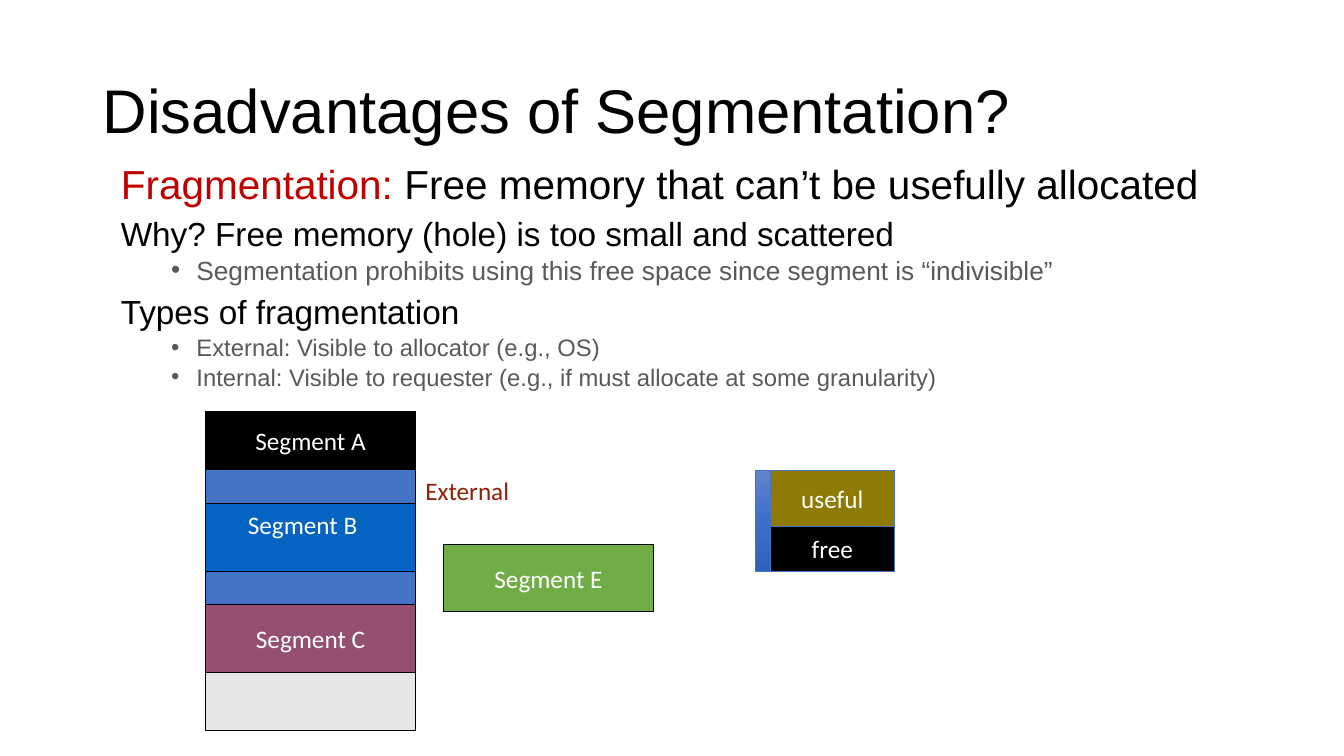
from lxml import etree
from pptx import Presentation
from pptx.dml.color import RGBColor
from pptx.enum.shapes import MSO_SHAPE
from pptx.enum.text import MSO_ANCHOR, MSO_AUTO_SIZE, PP_ALIGN
from pptx.oxml.ns import qn
from pptx.util import Inches, Pt

RECT = MSO_SHAPE.RECTANGLE
MIDDLE = MSO_ANCHOR.MIDDLE
GROW = MSO_AUTO_SIZE.SHAPE_TO_FIT_TEXT
CENTER = PP_ALIGN.CENTER

BLACK = RGBColor(0x00, 0x00, 0x00)
WHITE = RGBColor(0xFF, 0xFF, 0xFF)
GRAY = RGBColor(0x59, 0x59, 0x59)
RED = RGBColor(0xC0, 0x00, 0x00)
RUST = RGBColor(0x92, 0x1F, 0x07)
BLUE = RGBColor(0x44, 0x72, 0xC4)
AZURE = RGBColor(0x05, 0x63, 0xC1)
PLUM = RGBColor(0x95, 0x4F, 0x72)
SILVER = RGBColor(0xE7, 0xE6, 0xE6)
GREEN = RGBColor(0x70, 0xAD, 0x47)
OLIVE = RGBColor(0x8F, 0x7A, 0x05)

TITLE = "Disadvantages of Segmentation?"
# level, size, [(text, colour)]
BODY = [
    (0, 28.9, [("Fragmentation:", RED),
               (" Free memory that can’t be usefully allocated", BLACK)]),
    (0, 23.8, [("Why? Free memory (hole) is too small and scattered", BLACK)]),
    (1, 18.7, [("Segmentation prohibits using this free space since segment "
                "is “indivisible”", GRAY)]),
    (0, 23.8, [("Types of fragmentation", BLACK)]),
    (1, 17, [("External: Visible to allocator (e.g., OS)", GRAY)]),
    (1, 17, [("Internal: Visible to requester (e.g., if must allocate at some "
              "granularity)", GRAY)]),
]
# text, top, height, fill
MEMORY = [
    ("", 4.08, 3.17, BLUE),
    ("Segment A", 4.08, 0.58, BLACK),
    ("", 5, 0.67, AZURE),
    ("Segment C", 6, 0.67, PLUM),
    ("", 6.67, 0.58, SILVER),
]
MEM_X, MEM_W = 2.04, 2.08
LABELS = [
    ("Segment B", 2.36, 5, 1.35, WHITE),
    ("External", MEM_X + MEM_W, 4.67, 1.04, RUST),
]
BLOCK_X, BLOCK_Y, BLOCK_W, EDGE = 7.49, 4.67, 1.38, 0.15
PARTS = [("useful", 0.55, OLIVE), ("free", 0.45, BLACK)]
STOPS = [(0, "6183CB"), (50, "3E70CA"), (100, "3062BB")]

prs = Presentation()
prs.slide_width, prs.slide_height = Inches(13.33), Inches(7.5)
slide = prs.slides.add_slide(prs.slide_layouts[6])


def style(font, size, color, name="Calibri"):
    font.size, font.name = Pt(size), name
    font.color.rgb = color


def add_text(x, y, w, h, wrap=True):
    box = slide.shapes.add_textbox(Inches(x), Inches(y), Inches(w), Inches(h))
    box.text_frame.word_wrap = wrap
    return box.text_frame


def add_rect(text, x, y, w, h, fill, line=BLACK, width=0.75, wrap=False):
    box = slide.shapes.add_shape(RECT, Inches(x), Inches(y), Inches(w), Inches(h))
    box.shadow.inherit = False
    box.fill.solid()
    box.fill.fore_color.rgb = fill
    box.line.color.rgb = line
    box.line.width = Pt(width)
    if text:
        frame = box.text_frame
        frame.word_wrap = wrap
        frame.vertical_anchor = MIDDLE
        para = frame.paragraphs[0]
        para.text, para.alignment = text, CENTER
        style(para.runs[0].font, 18, WHITE)
    return box


def shade(box):
    """Replace the solid fill with a vertical gradient."""
    solid = box.fill._xPr.find(qn("a:solidFill"))
    grad = etree.Element(qn("a:gradFill"), rotWithShape="1")
    stops = etree.SubElement(grad, qn("a:gsLst"))
    for pos, color in STOPS:
        stop = etree.SubElement(stops, qn("a:gs"), pos=str(pos * 1000))
        etree.SubElement(stop, qn("a:srgbClr"), val=color)
    etree.SubElement(grad, qn("a:lin"), ang="5400000", scaled="0")
    solid.getparent().replace(solid, grad)


def indent(para, level):
    props = para._p.get_or_add_pPr()
    props.set("marL", str(Inches(0.25 + 0.5 * level)))
    props.set("indent", str(Inches(-0.25)))
    if level:
        etree.SubElement(props, qn("a:buFont"), typeface="Arial")
        etree.SubElement(props, qn("a:buChar"), char="•")
    else:
        etree.SubElement(props, qn("a:buNone"))


frame = add_text(1.1, 1.62, 11.32, 2.46)
for i, (level, size, runs) in enumerate(BODY):
    para = frame.add_paragraph() if i else frame.paragraphs[0]
    para.level = level
    indent(para, level)
    para.line_spacing = 0.8
    para.space_before = Pt((5 if level else 10) if i else 0)
    for text, color in runs:
        run = para.add_run()
        run.text = text
        style(run.font, size, color, "Arial")

for text, y, h, fill in MEMORY:
    add_rect(text, MEM_X, y, MEM_W, h, fill)
add_rect("Segment E", 4.4, 5.4, MEM_W, 0.67, GREEN)

shade(add_rect("", BLOCK_X, BLOCK_Y, BLOCK_W, 1, BLUE, BLUE, 0.5))
y = BLOCK_Y
for text, h, fill in PARTS:
    add_rect(text, BLOCK_X + EDGE, y, BLOCK_W - EDGE, h, fill, BLUE, 0.5, True)
    y += h

for text, x, y, w, color in LABELS:
    frame = add_text(x, y, w, 0.4, False)
    frame.auto_size = GROW
    frame.text = text
    style(frame.paragraphs[0].runs[0].font, 18, color)

frame = add_text(0.92, 0.4, 11.5, 1.45)
frame.vertical_anchor = MIDDLE
frame.text = TITLE
frame.paragraphs[0].line_spacing = 0.9
style(frame.paragraphs[0].runs[0].font, 44, BLACK, "Arial")

prs.save("out.pptx")
